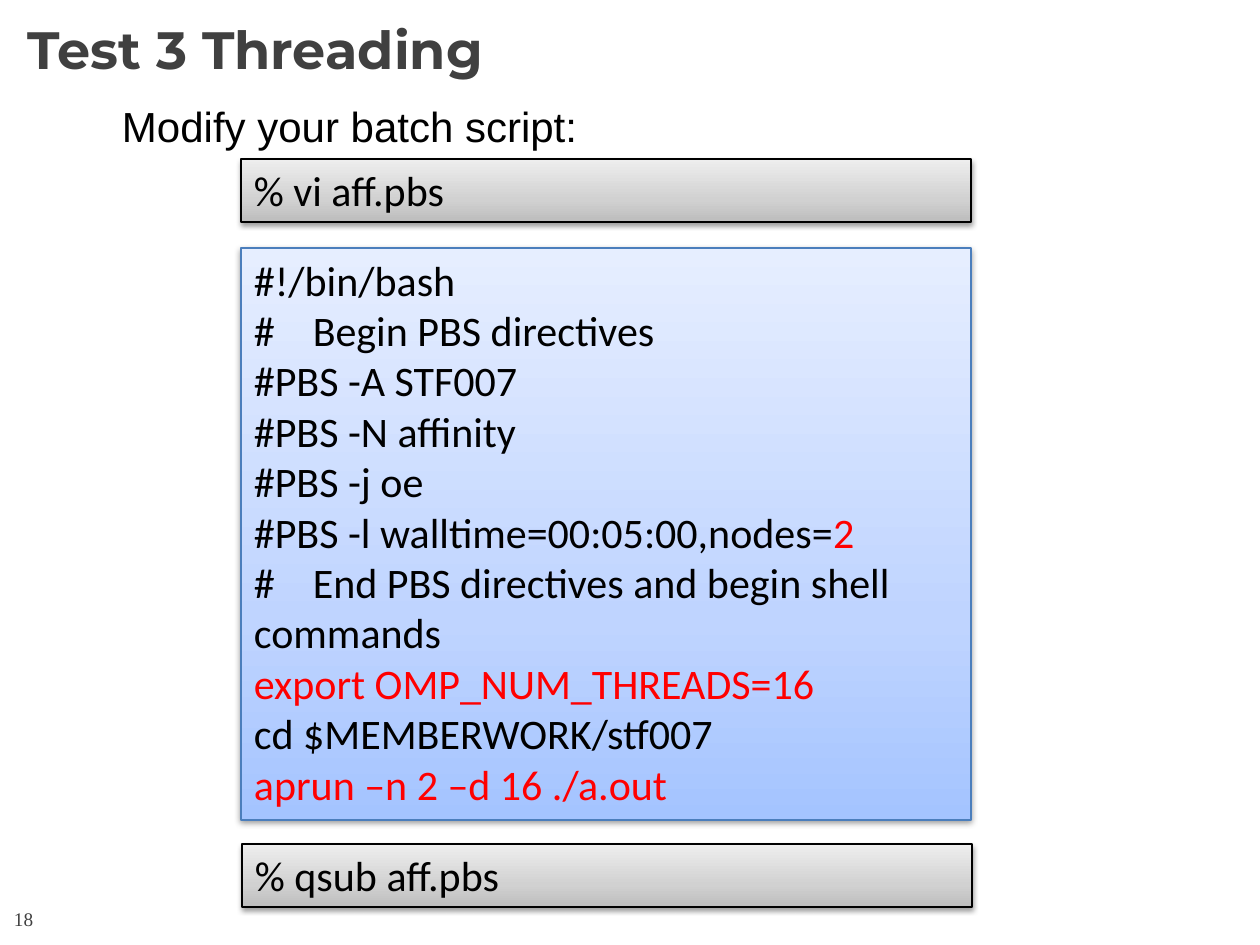
from dataclasses import dataclass

from lxml.etree import SubElement
from pptx import Presentation
from pptx.dml.color import RGBColor
from pptx.enum.shapes import MSO_SHAPE
from pptx.enum.text import MSO_ANCHOR, PP_ALIGN
from pptx.oxml import parse_xml
from pptx.oxml.ns import nsdecls, qn
from pptx.slide import Slide
from pptx.text.text import _Run
from pptx.util import Pt

PX = 914400 / 126
INSET_X, INSET_Y = 13, 6

BLACK = RGBColor(0x00, 0x00, 0x00)
RED = RGBColor(0xFF, 0x00, 0x00)
DARK = RGBColor(0x40, 0x40, 0x40)
BLUE = RGBColor(0x4B, 0x7E, 0xBC)
GREYS = (RGBColor(0xBD, 0xBD, 0xBD), RGBColor(0xD1, 0xD1, 0xD1), RGBColor(0xEE, 0xEE, 0xEE))
BLUES = (RGBColor(0xA4, 0xC4, 0xFF), RGBColor(0xBF, 0xD4, 0xFF), RGBColor(0xE6, 0xEE, 0xFF))
STOPS = (0, 35, 100)

Line = list[tuple[str, RGBColor]]


@dataclass(frozen=True)
class Label:
    text: str
    box: tuple[int, int, int, int]
    font: str
    size: int
    color: RGBColor
    bold: bool = False
    spacing: float = 0.9
    left: int = INSET_X
    top: int = INSET_Y


@dataclass(frozen=True)
class CodeBox:
    box: tuple[int, int, int, int]
    fill: tuple[RGBColor, ...]
    border: RGBColor
    lines: list[Line]


LABELS = [
    Label("18", (14, 910, 63, 21), "Times New Roman", 11, DARK, left=0, top=0),
    Label("Test 3 Threading", (15, 21, 1134, 68), "Montserrat", 30, DARK, True, 0.85),
    Label("Modify your batch script:", (15, 100, 1206, 239), "Arial", 24, BLACK, left=107),
]

SCRIPT: list[Line] = [
    [("#!/bin/bash", BLACK)],
    [("#    Begin PBS directives", BLACK)],
    [("#PBS -A STF007", BLACK)],
    [("#PBS -N affinity", BLACK)],
    [("#PBS -j oe", BLACK)],
    [("#PBS -l walltime=00:05:00,nodes=", BLACK), ("2", RED)],
    [("#    End PBS directives and begin shell commands", BLACK)],
    [("export OMP_NUM_THREADS=16", RED)],
    [("cd $MEMBERWORK/stf007", BLACK)],
    [("aprun –n 2 –d 16 ./a.out", RED)],
]

CODE_BOXES = [
    CodeBox((241, 159, 730, 63), GREYS, BLACK, [[("% vi aff.pbs", BLACK)]]),
    CodeBox((241, 248, 730, 572), BLUES, BLUE, SCRIPT),
    CodeBox((242, 844, 730, 63), GREYS, BLACK, [[("% qsub aff.pbs", BLACK)]]),
]


def px(n: int) -> int:
    return round(n * PX)


def style(r: _Run, font: str, size: int, color: RGBColor, bold: bool = False) -> None:
    r.font.name = font
    r.font.size = Pt(size)
    r.font.bold = bold
    r.font.color.rgb = color


def set_margins(tf, left: int, top: int) -> None:
    tf.word_wrap = True
    tf.margin_left, tf.margin_right = px(left), px(min(left, INSET_X))
    tf.margin_top = tf.margin_bottom = px(top)


def add_label(s: Slide, label: Label) -> None:
    tf = s.shapes.add_textbox(*map(px, label.box)).text_frame
    set_margins(tf, label.left, label.top)
    p = tf.paragraphs[0]
    p.text = label.text
    p.line_spacing = label.spacing
    style(p.runs[0], label.font, label.size, label.color, label.bold)


def set_gradient(sp, colors: tuple[RGBColor, ...]) -> None:
    """Fill from the bottom edge upwards."""
    sp.fill.gradient()
    grad = sp._element.spPr.find(qn("a:gradFill"))
    stops = grad.find(qn("a:gsLst"))
    for gs in list(stops):
        stops.remove(gs)
    for pos, color in zip(STOPS, colors):
        gs = SubElement(stops, qn("a:gs"), pos=str(pos * 1000))
        SubElement(gs, qn("a:srgbClr"), val=str(color))
    grad.find(qn("a:lin")).set("ang", str(270 * 60000))


def set_shadow(sp) -> None:
    sp.shadow.inherit = False
    sp._element.spPr.find(qn("a:effectLst")).append(parse_xml(
        f'<a:outerShdw {nsdecls("a")} blurRad="40000" dist="20000" dir="5400000" rotWithShape="0">'
        '<a:srgbClr val="000000"><a:alpha val="38000"/></a:srgbClr></a:outerShdw>'))


def add_code_box(s: Slide, code: CodeBox) -> None:
    sp = s.shapes.add_shape(MSO_SHAPE.RECTANGLE, *map(px, code.box))
    set_gradient(sp, code.fill)
    sp.line.color.rgb = code.border
    sp.line.width = Pt(0.75)
    set_shadow(sp)
    tf = sp.text_frame
    set_margins(tf, INSET_X, INSET_Y)
    tf.vertical_anchor = MSO_ANCHOR.TOP
    tf.text = "\n".join("".join(text for text, _ in line) for line in code.lines)
    for p, line in zip(tf.paragraphs, code.lines):
        p.alignment = PP_ALIGN.LEFT
        p.clear()
        for text, color in line:
            r = p.add_run()
            r.text = text
            style(r, "Calibri", 24, color)


def main() -> None:
    prs = Presentation()
    prs.slide_width, prs.slide_height = px(1260), px(945)
    s = prs.slides.add_slide(prs.slide_layouts[6])
    for label in LABELS:
        add_label(s, label)
    for code in CODE_BOXES:
        add_code_box(s, code)
    prs.save("out.pptx")


if __name__ == "__main__":
    main()
